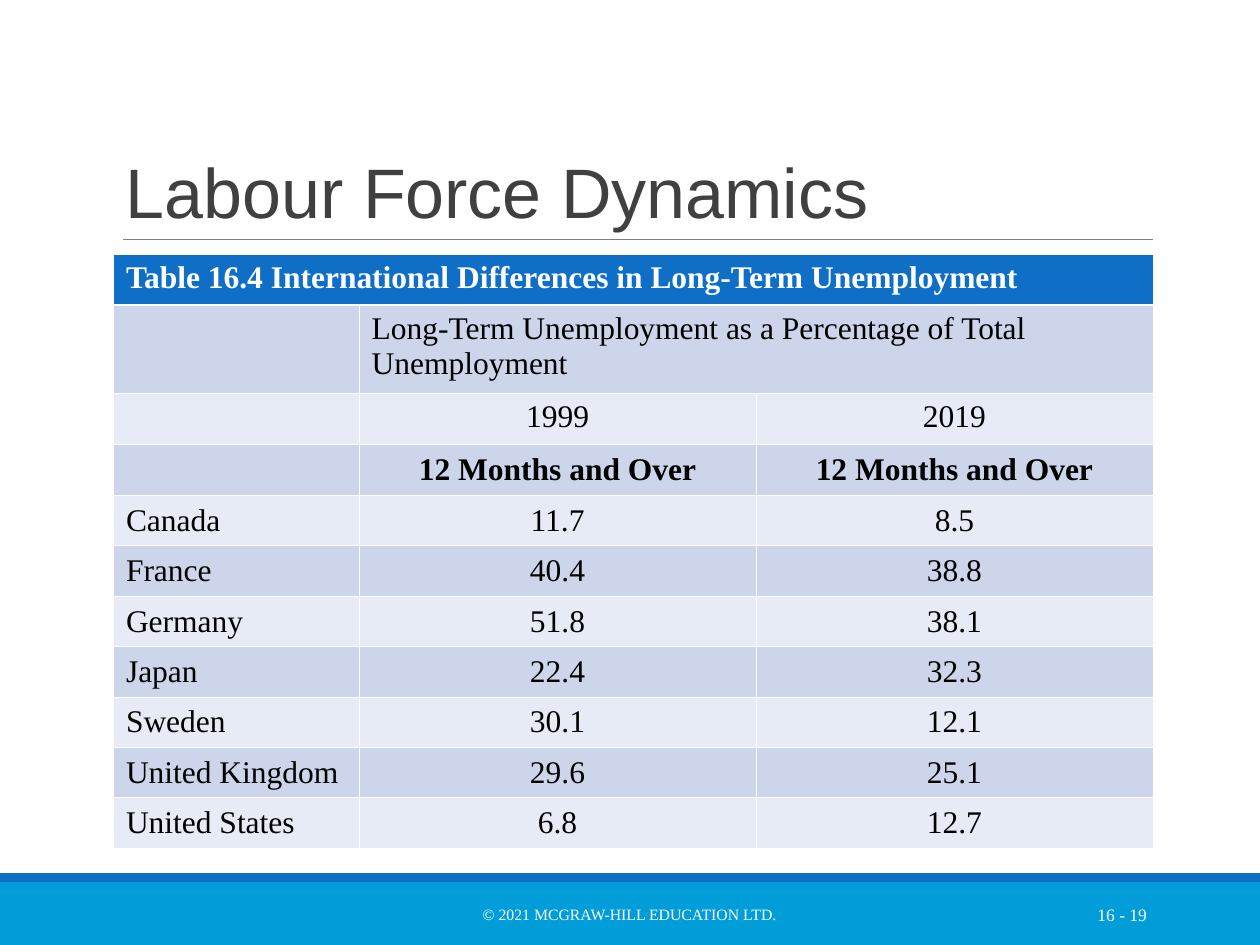
from dataclasses import dataclass

from lxml.etree import SubElement as Sub
from pptx import Presentation
from pptx.dml.color import RGBColor as RGB
from pptx.enum.shapes import MSO_CONNECTOR as Conn, MSO_SHAPE as Shape
from pptx.enum.text import MSO_ANCHOR as Anchor, PP_ALIGN as Align
from pptx.oxml.ns import qn
from pptx.util import Inches, Pt


@dataclass(frozen=True)
class Theme:
    sky: str = "009DD9"
    blue: str = "0F6FC6"
    rule: str = "7F7F7F"
    dark: str = "CCD5EA"
    pale: str = "E7EBF5"
    white: str = "FFFFFF"
    black: str = "000000"
    grey: str = "404040"
    sans: str = "Arial"
    serif: str = "Times New Roman"
    title: float = 40
    body: float = 18
    page: float = 10
    foot: float = 9
    thin: float = 0.45
    thick: float = 1.47


class Deck:
    def __init__(self, theme, slide):
        self.theme = theme
        self.slide = slide

    def style(self, para, size, color, face, align=Align.LEFT, bold=False):
        para.alignment = align
        font = para.font
        font.size, font.name, font.bold = Pt(size), face, bold
        font.color.rgb = RGB.from_string(color)

    def band(self, top, height, color):
        box = self.slide.shapes.add_shape(
            Shape.RECTANGLE, 0, Inches(top), Inches(10), Inches(height))
        box.shadow.inherit = False
        box.fill.solid()
        box.fill.fore_color.rgb = RGB.from_string(color)
        box.line.fill.background()

    def rule(self, left, right, top):
        line = self.slide.shapes.add_connector(
            Conn.STRAIGHT, Inches(left), Inches(top), Inches(right), Inches(top))
        line.line.color.rgb = RGB.from_string(self.theme.rule)
        line.line.width = Pt(0.5)
        Sub(line._element.spPr, qn("a:effectLst"))

    def text(self, words, area, size, color, face,
             align=Align.LEFT, anchor=Anchor.MIDDLE, space=None):
        box = self.slide.shapes.add_textbox(*map(Inches, area))
        frame = box.text_frame
        frame.word_wrap = True
        frame.vertical_anchor = anchor
        para = frame.paragraphs[0]
        para.text = words
        para.line_spacing = space
        self.style(para, size, color, face, align)

    def edges(self, cell, **widths):
        """Draw white borders, which must come before the cell's fill."""
        props = cell._tc.get_or_add_tcPr()
        for spot, side in enumerate("LRTB"):
            width = Pt(widths.get(side, self.theme.thin))
            line = Sub(props, qn(f"a:ln{side}"), w=str(int(width)))
            fill = Sub(line, qn("a:solidFill"))
            Sub(fill, qn("a:srgbClr"), val=self.theme.white)
            props.insert(spot, line)

    def table(self, rows, left, top, widths, heights, spans):
        t = self.theme
        grid = self.slide.shapes.add_table(
            len(rows), len(widths), Inches(left), Inches(top),
            Inches(sum(widths)), Inches(sum(heights))).table
        for col, width in zip(grid.columns, widths):
            col.width = Inches(width)
        for row, height in zip(grid.rows, heights):
            row.height = Inches(height)
        for r, first, last in spans:
            grid.cell(r, first).merge(grid.cell(r, last))

        for r, words in enumerate(rows):
            head = r == 0
            fill = t.blue if head else t.dark if r % 2 else t.pale
            thick = {0: {"B": t.thick}, 1: {"T": t.thick}}.get(r, {})
            for c, word in enumerate(words):
                cell = grid.cell(r, c)
                cell.fill.solid()
                cell.fill.fore_color.rgb = RGB.from_string(fill)
                self.edges(cell, **thick)
                cell.vertical_anchor = Anchor.MIDDLE if r > 2 else Anchor.TOP
                if word:
                    cell.text = word
                    self.style(cell.text_frame.paragraphs[0], t.body,
                               t.white if head else t.black, t.serif,
                               Align.CENTER if c and r > 1 else Align.LEFT,
                               bold=r in (0, 3))


ROWS = [
    ("Table 16.4 International Differences in Long-Term Unemployment", "", ""),
    ("", "Long-Term Unemployment as a Percentage of Total Unemployment", ""),
    ("", "1999", "2019"),
    ("", "12 Months and Over", "12 Months and Over"),
    ("Canada", "11.7", "8.5"),
    ("France", "40.4", "38.8"),
    ("Germany", "51.8", "38.1"),
    ("Japan", "22.4", "32.3"),
    ("Sweden", "30.1", "12.1"),
    ("United Kingdom", "29.6", "25.1"),
    ("United States", "6.8", "12.7"),
]


def main():
    prs = Presentation()
    prs.slide_width, prs.slide_height = Inches(10), Inches(7.5)
    t = Theme()
    deck = Deck(t, prs.slides.add_slide(prs.slide_layouts[6]))

    # Footer bands and title rule
    deck.band(7, 0.5, t.sky)
    deck.band(6.93, 0.07, t.blue)
    deck.rule(0.98, 9.15, 1.9)

    # Unemployment table
    heights = [0.7 if r == 1 else 0.4 for r in range(len(ROWS))]
    deck.table(ROWS, 0.9, 2.02, [1.95, 3.15, 3.15], heights,
               spans=[(0, 0, 2), (1, 1, 2)])

    # Footer text
    deck.text("© 2021 MCGRAW-HILL EDUCATION LTD.", (3.02, 7.06, 3.95, 0.4),
              t.foot, t.white, t.serif, Align.CENTER)
    deck.text("16 - 19", (8.12, 7.06, 1.08, 0.4),
              t.page, t.white, t.serif, Align.RIGHT)

    # Title
    deck.text("Labour Force Dynamics", (0.9, 0.31, 8.25, 1.59),
              t.title, t.grey, t.sans, anchor=Anchor.BOTTOM, space=0.85)

    prs.save("out.pptx")


if __name__ == "__main__":
    main()
